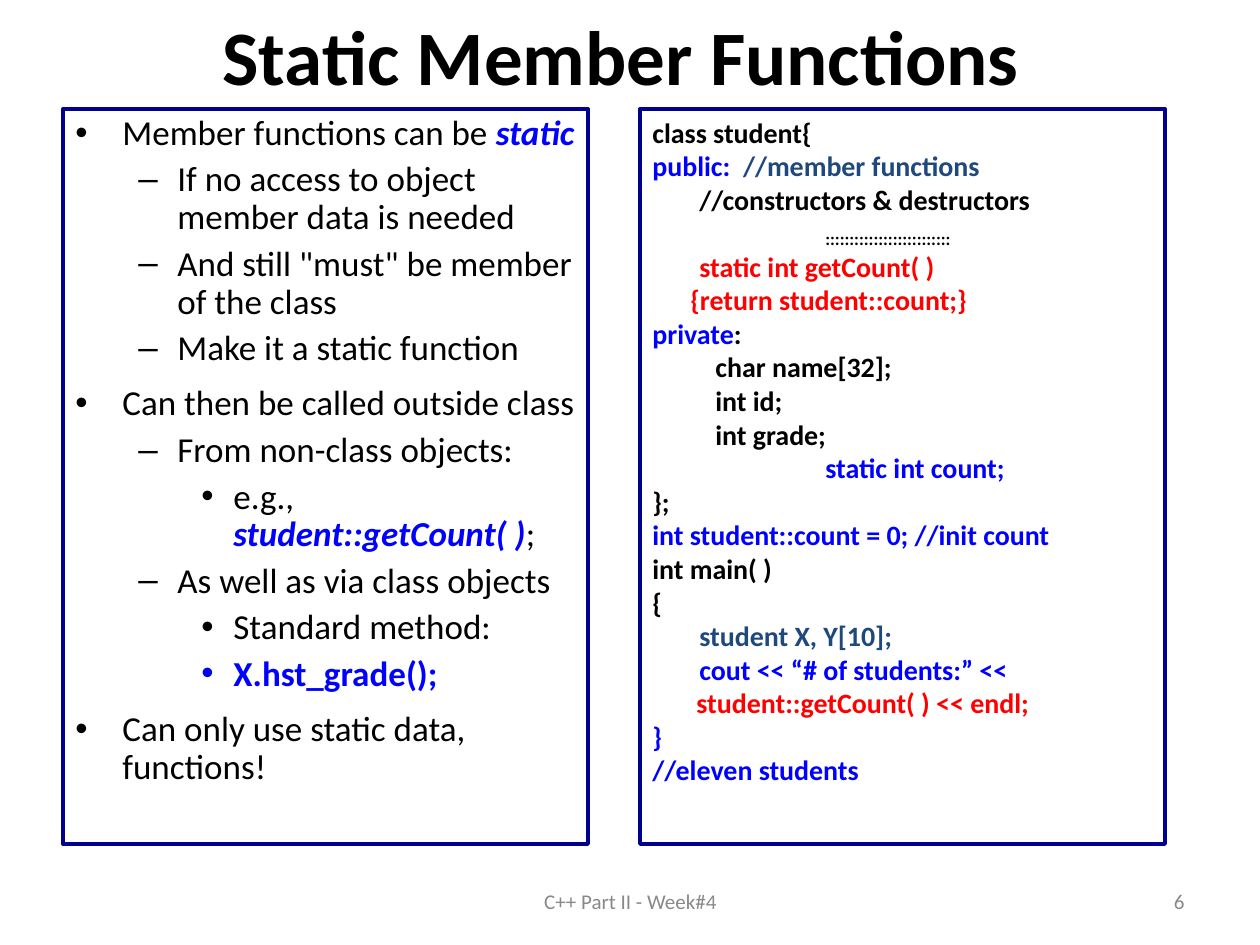
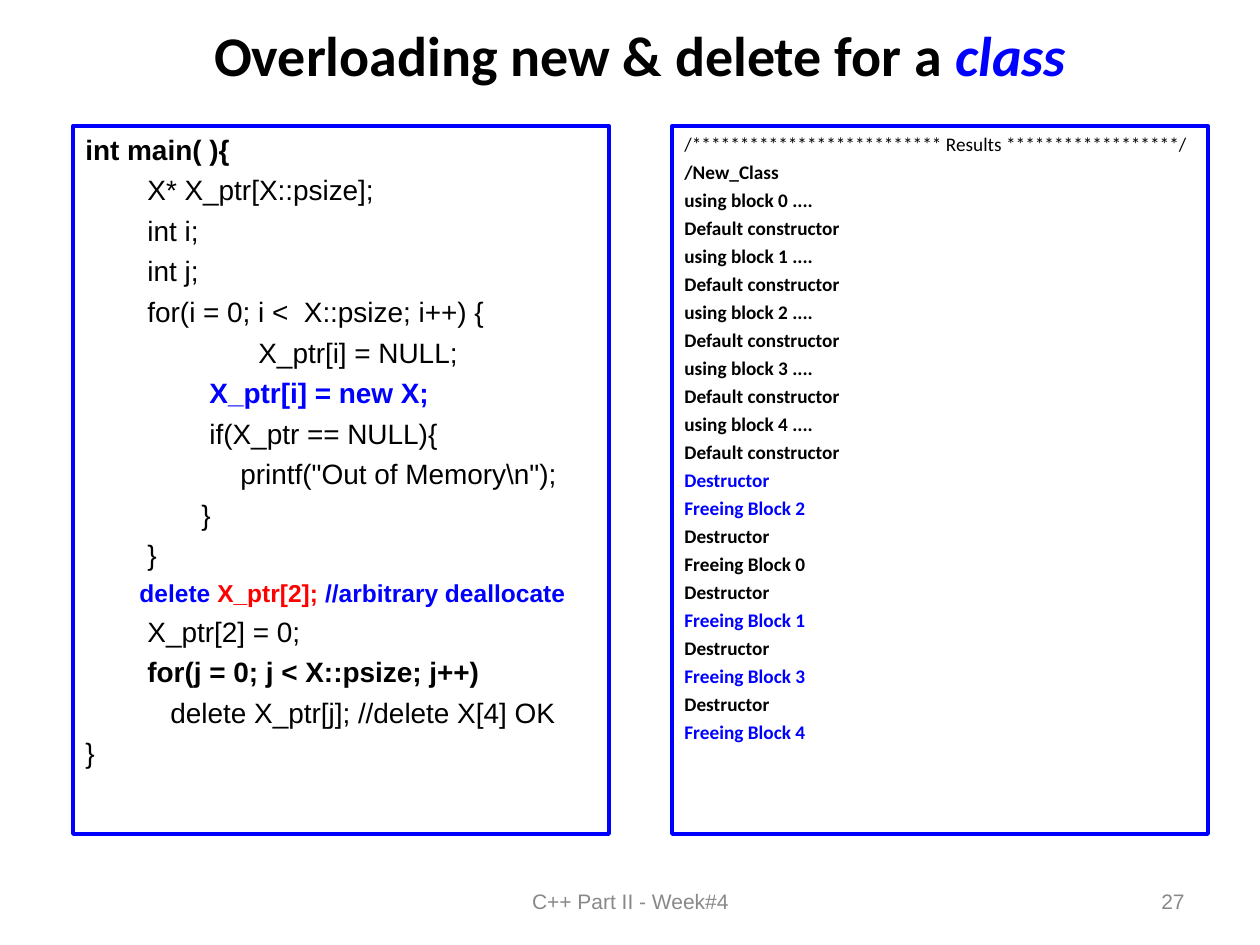
from typing import NamedTuple

from lxml import etree
from pptx import Presentation
from pptx.dml.color import RGBColor
from pptx.enum import shapes, text
from pptx.oxml import ns
from pptx import util as u

EMU_PER_PX = 914400 / 126
TITLE_ONLY = 5
COLORS = {
    "black": "000000", "blue": "0000FF", "red": "FF0000",
    "navy": "000090", "slate": "1F497D", "gray": "898989",
}
FOOTER = "C++ Part II - Week#4"


class Run(NamedTuple):
    words: str
    color: str = "black"
    bold: bool = False
    italic: bool = False


class Line(NamedTuple):
    runs: list[Run]
    indent: int = 0
    before: float = 0
    size: float = 0  # 0 takes the size of the panel
    level: int = -1  # -1 has no bullet


class Box(NamedTuple):
    left: int
    top: int
    width: int
    height: int


class Panel(NamedTuple):
    box: Box
    outline: str
    font: str
    size: float
    lines: list[Line]


class BulletLevel(NamedTuple):
    mark: str
    indent: int
    hang: int


class Page(NamedTuple):
    title: list[Run]
    title_left: int
    title_size: int
    number: str
    footer_font: str
    panels: list[Panel]


LEVELS = [BulletLevel("•", 47, 47), BulletLevel("–", 102, 39), BulletLevel("•", 158, 32)]
FOOTER_BOX = Box(431, 876, 399, 50)
NUMBER_BOX = Box(903, 876, 294, 50)


# Drawing helpers
def px(length: int) -> u.Emu:
    return u.Emu(round(length * EMU_PER_PX))


def rgb(color: str) -> RGBColor:
    return RGBColor.from_string(COLORS[color])


def edges(box: Box) -> list[u.Emu]:
    return [px(length) for length in box]


def add_runs(paragraph, runs: list[Run], font: str, size: float) -> None:
    for item in runs:
        run = paragraph.add_run()
        run.text = item.words
        run.font.name, run.font.size = font, u.Pt(size)
        run.font.bold, run.font.italic = item.bold, item.italic
        run.font.color.rgb = rgb(item.color)


def set_indent(paragraph, line: Line) -> None:
    props = paragraph._p.get_or_add_pPr()
    if line.level < 0:
        props.set("marL", str(px(line.indent)))
        props.set("indent", "0")
        return
    bullet = LEVELS[line.level]
    paragraph.level = line.level
    paragraph.line_spacing = 0.9
    props.set("marL", str(px(bullet.indent)))
    props.set("indent", str(-px(bullet.hang)))
    color = etree.SubElement(props, ns.qn("a:buClr"))
    etree.SubElement(color, ns.qn("a:srgbClr"), val=COLORS[line.runs[0].color])
    etree.SubElement(props, ns.qn("a:buFont"), typeface="Arial")
    etree.SubElement(props, ns.qn("a:buChar"), char=bullet.mark)


def draw_panel(slide, panel: Panel) -> None:
    frame = slide.shapes.add_shape(shapes.MSO_SHAPE.RECTANGLE, *edges(panel.box))
    frame.shadow.inherit = False
    frame.fill.background()
    frame.line.color.rgb = rgb(panel.outline)
    frame.line.width = u.Pt(2.25)
    body = frame.text_frame
    body.word_wrap = True
    body.vertical_anchor = text.MSO_ANCHOR.TOP
    for index, line in enumerate(panel.lines):
        paragraph = body.add_paragraph() if index else body.paragraphs[0]
        paragraph.alignment = text.PP_ALIGN.LEFT
        paragraph.space_before = u.Pt(line.before)
        set_indent(paragraph, line)
        add_runs(paragraph, line.runs, panel.font, line.size or panel.size)


def draw_footer(slide, box: Box, words: str, font: str, align: text.PP_ALIGN) -> None:
    body = slide.shapes.add_textbox(*edges(box)).text_frame
    body.word_wrap = True
    body.vertical_anchor = text.MSO_ANCHOR.MIDDLE
    body.paragraphs[0].alignment = align
    add_runs(body.paragraphs[0], [Run(words, "gray")], font, 12)


def draw_page(deck, page: Page) -> None:
    slide = deck.slides.add_slide(deck.slide_layouts[TITLE_ONLY])
    title = slide.shapes.title
    title.left, title.top, title.width, title.height = edges(Box(page.title_left, 0, 1134, 109))
    heading = title.text_frame
    heading.auto_size = text.MSO_AUTO_SIZE.NONE
    heading.vertical_anchor = text.MSO_ANCHOR.MIDDLE
    heading.paragraphs[0].alignment = text.PP_ALIGN.CENTER
    add_runs(heading.paragraphs[0], page.title, "Calibri", page.title_size)
    for panel in page.panels:
        draw_panel(slide, panel)
    draw_footer(slide, FOOTER_BOX, FOOTER, page.footer_font, text.PP_ALIGN.CENTER)
    draw_footer(slide, NUMBER_BOX, page.number, page.footer_font, text.PP_ALIGN.RIGHT)


# Line builders
def point(level: int, *runs: Run, before: float = 5) -> Line:
    return Line(list(runs), before=before, level=level)


def bold(words: str, color: str = "black", indent: int = 0, before: float = 0) -> Line:
    return Line([Run(words, color, True)], indent, before)


def code(words: str, indent: int = 0) -> Line:
    return Line([Run(words)], indent, 4)


# Static member functions
static_rules = [
    point(0, Run("Member functions can be "), Run("static", "blue", True, True)),
    point(1, Run("If no access to object member data is needed")),
    point(1, Run('And still "must" be member of the class')),
    point(1, Run("Make it a static function")),
    point(0, Run("Can then be called outside class"), before=10),
    point(1, Run("From non-class objects:")),
    point(2, Run("e.g., "), Run("student::getCount( )", "blue", True, True), Run(";")),
    point(1, Run("As well as via class objects")),
    point(2, Run("Standard method:")),
    point(2, Run("X.hst_grade();", "blue", True)),
    point(0, Run("Can only use static data, functions!"), before=10),
]
student_class = [
    bold("class student{"),
    Line([Run("public:  ", "blue", True), Run("//member functions", "slate", True)]),
    bold("//constructors & destructors", indent=47),
    Line([Run("::::::::::::::::::::::::::", bold=True)], 173, 7, 10),
    bold("static int getCount( )", "red", 47),
    bold("{return student::count;}", "red", 38),
    Line([Run("private", "blue", True), Run(":", bold=True)]),
    *(bold(member, indent=63) for member in ("char name[32];", "int id;", "int grade;")),
    bold("static int count;", "blue", 173),
    bold("};"),
    bold("int student::count = 0; //init count", "blue"),
    bold("int main( )"),
    bold("{"),
    bold("student X, Y[10];", "slate", 47),
    bold("cout << “# of students:” <<", "blue", 47),
    bold("student::getCount( ) << endl;", "red", 44),
    bold("}", "blue"),
    bold("//eleven students", "blue"),
]

# Overloading new and delete
main_program = [
    bold("int main( ){", before=4),
    code("X* X_ptr[X::psize];", 62),
    code("int i;", 62),
    code("int j;", 62),
    code("for(i = 0; i <  X::psize; i++) {", 62),
    code("X_ptr[i] = NULL;", 173),
    bold("X_ptr[i] = new X;", "blue", 124, 4),
    code("if(X_ptr == NULL){", 124),
    code('printf("Out of Memory\\n");', 155),
    code("}", 116),
    code("}", 62),
    Line([Run("delete ", "blue", True), Run("X_ptr[2]; ", "red", True),
          Run("//arbitrary deallocate", "blue", True)], 54, 3.5, 14),
    code("X_ptr[2] = 0;", 62),
    bold("for(j = 0; j < X::psize; j++)", indent=62, before=4),
    code("delete X_ptr[j]; //delete X[4] OK", 85),
    code("}"),
]
RESULT_GAP = 2.8
results = [
    Line([Run("/************************** Results ******************/")], before=RESULT_GAP),
    bold("/New_Class", before=RESULT_GAP),
]
for block in range(5):
    results += [bold(f"using block {block} ....", before=RESULT_GAP),
                bold("Default constructor", before=RESULT_GAP)]
for block in (2, 0, 1, 3, 4):
    results += [
        bold("Destructor", "blue" if block == 2 else "black", before=RESULT_GAP),
        bold(f"Freeing Block {block}", "black" if block == 0 else "blue", before=RESULT_GAP),
    ]

PAGES = [
    Page([Run("Static Member Functions ", bold=True)], 63, 44, "6", "Calibri", [
        Panel(Box(63, 109, 525, 735), "navy", "Calibri", 20, static_rules),
        Panel(Box(640, 109, 525, 735), "navy", "Calibri", 16, student_class),
    ]),
    Page([Run("Overloading new & delete for a ", bold=True), Run("class", "blue", True, True)],
         73, 32, "27", "Arial", [
        Panel(Box(73, 126, 536, 708), "blue", "Arial", 16, main_program),
        Panel(Box(672, 126, 536, 708), "blue", "Calibri", 11, results),
    ]),
]


def main() -> None:
    deck = Presentation()
    deck.slide_width, deck.slide_height = px(1260), px(945)
    for page in PAGES:
        draw_page(deck, page)
    deck.save("out.pptx")


if __name__ == "__main__":
    main()
